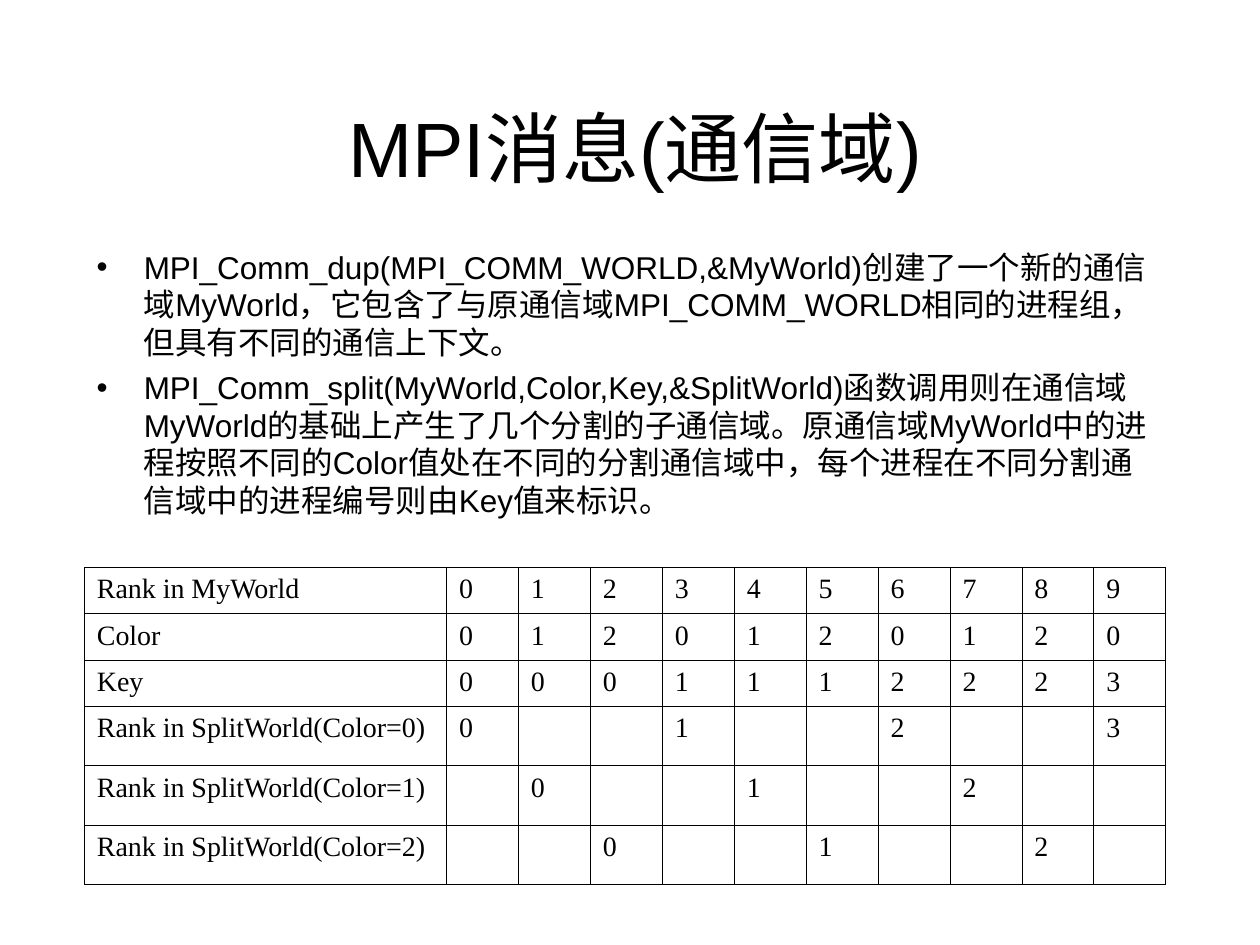
from lxml.etree import SubElement
from pptx import Presentation
from pptx.dml.color import RGBColor
from pptx.enum.text import MSO_ANCHOR, MSO_AUTO_SIZE, PP_ALIGN
from pptx.oxml.ns import qn
from pptx.util import Cm, Pt

COLORS = {"background": "FFFFFF", "text": "000000", "border": "000000"}
HANGING = Cm(0.95)


def add_run(paragraph, text, font_name, size):
    run = paragraph.add_run()
    run.text = text
    run.font.name = font_name
    run.font.size = Pt(size)
    run.font.color.rgb = RGBColor.from_string(COLORS["text"])


def set_hanging_indent(paragraph):
    properties = paragraph._p.get_or_add_pPr()
    properties.set("marL", str(HANGING))
    properties.set("indent", str(-HANGING))
    return properties


presentation = Presentation()
presentation.slide_width = Cm(25.4)
presentation.slide_height = Cm(19.05)
slide = presentation.slides.add_slide(presentation.slide_layouts[5])
slide.background.fill.solid()
slide.background.fill.fore_color.rgb = RGBColor.from_string(COLORS["background"])

# Title
title = slide.shapes.title
title.left, title.top, title.width, title.height = Cm(1.9), Cm(1.9), Cm(21.8), Cm(2.12)
title.text_frame.auto_size = MSO_AUTO_SIZE.NONE
title.text_frame.vertical_anchor = MSO_ANCHOR.MIDDLE
paragraph = title.text_frame.paragraphs[0]
paragraph.alignment = PP_ALIGN.CENTER
add_run(paragraph, "MPI消息(通信域)", "Arial", 44)

# Bulleted explanation
explanations = [
    "MPI_Comm_dup(MPI_COMM_WORLD,&MyWorld)创建了一个新的通信域MyWorld，"
    "它包含了与原通信域MPI_COMM_WORLD相同的进程组，但具有不同的通信上下文。",
    "MPI_Comm_split(MyWorld,Color,Key,&SplitWorld)函数调用则在通信域MyWorld的基础上"
    "产生了几个分割的子通信域。原通信域MyWorld中的进程按照不同的Color值处在不同的"
    "分割通信域中，每个进程在不同分割通信域中的进程编号则由Key值来标识。",
]
body = slide.shapes.add_textbox(Cm(1.7), Cm(4.87), Cm(21.8), Cm(6.15))
frame = body.text_frame
frame.word_wrap = True
for index, text in enumerate(explanations):
    paragraph = frame.add_paragraph() if index else frame.paragraphs[0]
    properties = set_hanging_indent(paragraph)
    SubElement(properties, qn("a:buFont"), typeface="Arial")
    SubElement(properties, qn("a:buChar"), char="•")
    paragraph.line_spacing = Pt(21.5)
    paragraph.space_before = Pt(4.5 if index else 0)
    add_run(paragraph, text, "Arial", 18)

# Table values: colour and key follow from the rank
ranks = range(10)
rows = [
    ("Rank in MyWorld", list(ranks)),
    ("Color", [rank % 3 for rank in ranks]),
    ("Key", [rank // 3 for rank in ranks]),
]
for color in range(3):
    split_ranks = [rank // 3 if rank % 3 == color else "" for rank in ranks]
    rows.append((f"Rank in SplitWorld(Color={color})", split_ranks))

# Table grid
table = slide.shapes.add_table(
    len(rows), len(ranks) + 1, Cm(1.7), Cm(11.44), Cm(21.8), Cm(6.39)
).table
table.first_row = False
table.horz_banding = False
for index, column in enumerate(table.columns):
    column.width = Cm(1.45 if index else 7.3)
for index, row in enumerate(table.rows):
    row.height = Cm(0.93 if index < 3 else 1.2)

# Table cells
for row_index, (label, values) in enumerate(rows):
    for column_index, value in enumerate([label, *values]):
        cell = table.cell(row_index, column_index)
        cell_properties = cell._tc.get_or_add_tcPr()
        for side in ("lnL", "lnR", "lnT", "lnB"):
            line = SubElement(cell_properties, qn(f"a:{side}"), w=str(Pt(0.45)))
            line_fill = SubElement(line, qn("a:solidFill"))
            SubElement(line_fill, qn("a:srgbClr"), val=COLORS["border"])
        cell.fill.background()
        if value != "":
            paragraph = cell.text_frame.paragraphs[0]
            set_hanging_indent(paragraph)
            add_run(paragraph, str(value), "Times New Roman", 16)

presentation.save("out.pptx")
